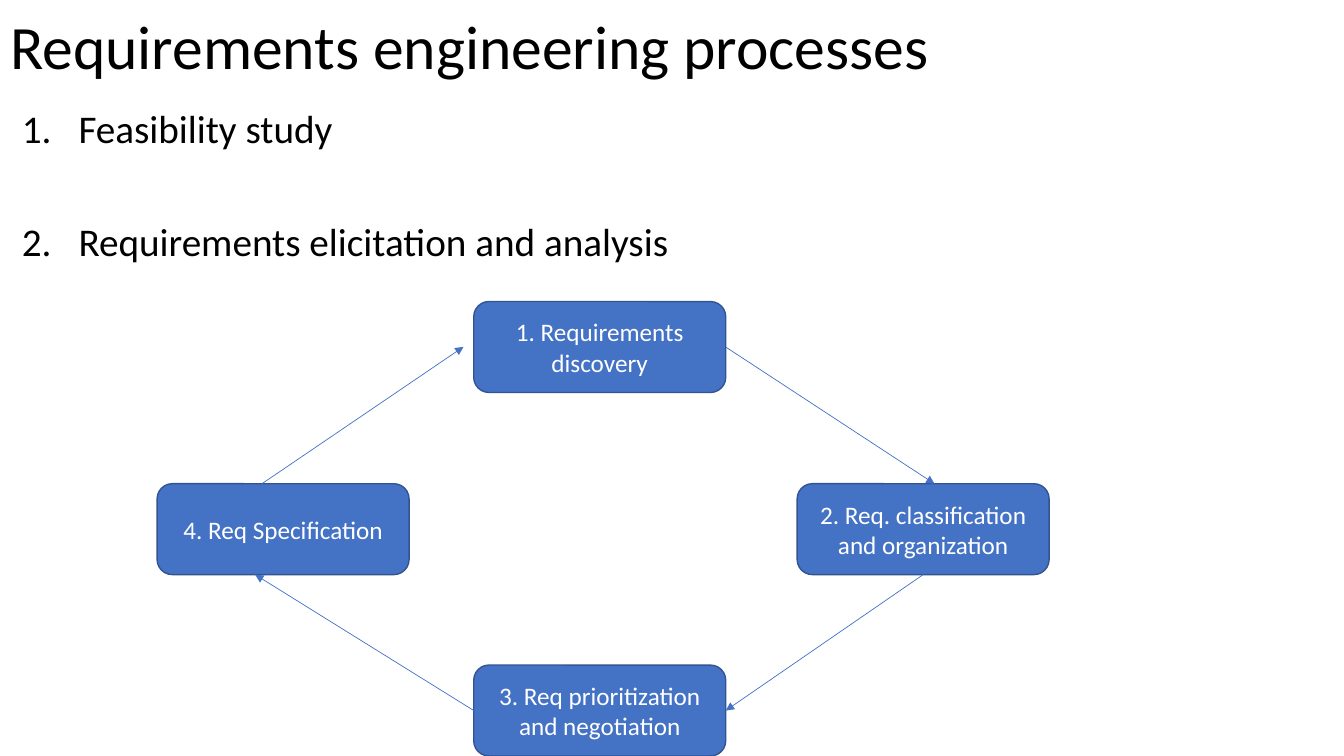
import lxml.etree
import pptx
import pptx.dml.color
import pptx.enum.shapes
import pptx.enum.text
import pptx.oxml.ns
import pptx.util

Cm = pptx.util.Cm
Pt = pptx.util.Pt
qn = pptx.oxml.ns.qn


def color(code):
    return pptx.dml.color.RGBColor.from_string(code)


class Page:
    """Holds the style and the current slide, and draws each kind of element."""

    font = "Calibri"
    ink = "000000"
    accent = "4472C4"
    outline = "325491"
    step_size = (Cm(6.35), Cm(2.29))

    def __init__(self, deck):
        self.slide = deck.slides.add_slide(deck.slide_layouts[5])

    def add_span(self, para, text, size, ink):
        span = para.add_run()
        span.text = text
        span.font.name = self.font
        span.font.size = Pt(size)
        span.font.color.rgb = color(ink)

    def title(self, text):
        box = self.slide.shapes.title
        box.left, box.top, box.width, box.height = Cm(0), Cm(0), Cm(29.21), Cm(2.51)
        box.text_frame.vertical_anchor = pptx.enum.text.MSO_ANCHOR.MIDDLE
        para = box.text_frame.paragraphs[0]
        para.alignment = pptx.enum.text.PP_ALIGN.LEFT
        para.line_spacing = 0.9
        self.add_span(para, text, 44, self.ink)

    def numbered_list(self, items, gap):
        box = self.slide.shapes.add_textbox(Cm(0.3), Cm(2.64), Cm(33.4), Cm(16.2))
        frame = box.text_frame
        frame.word_wrap = True
        for index, item in enumerate(items):
            para = frame.add_paragraph() if index else frame.paragraphs[0]
            para.line_spacing = 0.9
            para.space_before = Pt(gap if index else 0)
            self.add_span(para, item, 28, self.ink)
            layout = para._p.get_or_add_pPr()
            layout.set("marL", str(Cm(1.43)))
            layout.set("indent", str(-Cm(1.43)))
            lxml.etree.SubElement(layout, qn("a:buAutoNum"), type="arabicPeriod")

    def step(self, text, left, top):
        box = self.slide.shapes.add_shape(
            pptx.enum.shapes.MSO_SHAPE.ROUNDED_RECTANGLE, Cm(left), Cm(top), *self.step_size)
        box.shadow.inherit = False
        box.fill.solid()
        box.fill.fore_color.rgb = color(self.accent)
        box.line.color.rgb = color(self.outline)
        box.line.width = Pt(1)
        frame = box.text_frame
        frame.word_wrap = True
        frame.vertical_anchor = pptx.enum.text.MSO_ANCHOR.MIDDLE
        para = frame.paragraphs[0]
        para.alignment = pptx.enum.text.PP_ALIGN.CENTER
        self.add_span(para, text, 18, "FFFFFF")
        return box

    def arrow(self, start, end, start_joint=None, end_joint=None):
        line = self.slide.shapes.add_connector(
            pptx.enum.shapes.MSO_CONNECTOR.STRAIGHT, *map(Cm, start + end))
        if start_joint:
            line.begin_connect(*start_joint)
        if end_joint:
            line.end_connect(*end_joint)
        line.line.color.rgb = color(self.accent)
        line.line.width = Pt(0.5)
        properties = line._element.spPr
        lxml.etree.SubElement(properties.find(qn("a:ln")), qn("a:tailEnd"), type="triangle")
        lxml.etree.SubElement(properties, qn("a:effectLst"))


def main():
    deck = pptx.Presentation()
    deck.slide_width, deck.slide_height = Cm(33.87), Cm(19.05)
    page = Page(deck)
    page.title("Requirements engineering processes")
    page.numbered_list(["Feasibility study", "Requirements elicitation and analysis"], 50.5)

    middle, upper, center, lower = 11.94, 7.6, 12.19, 16.76
    prioritization = page.step("3. Req prioritization and negotiation", middle, lower)
    page.step("4. Req Specification", 3.96, center)
    classification = page.step("2. Req. classification and organization", 20.09, center)
    discovery = page.step("1. Requirements discovery", middle, upper)

    page.arrow((6.6, 12.19), (11.68, 8.74))
    page.arrow((18.29, 8.74), (23.55, 12.19), start_joint=(discovery, 3))
    page.arrow((23.27, 14.48), (18.29, 17.91), (classification, 2), (prioritization, 3))
    page.arrow((11.94, 17.91), (6.43, 14.48), start_joint=(prioritization, 1))

    deck.save("out.pptx")


if __name__ == "__main__":
    main()
